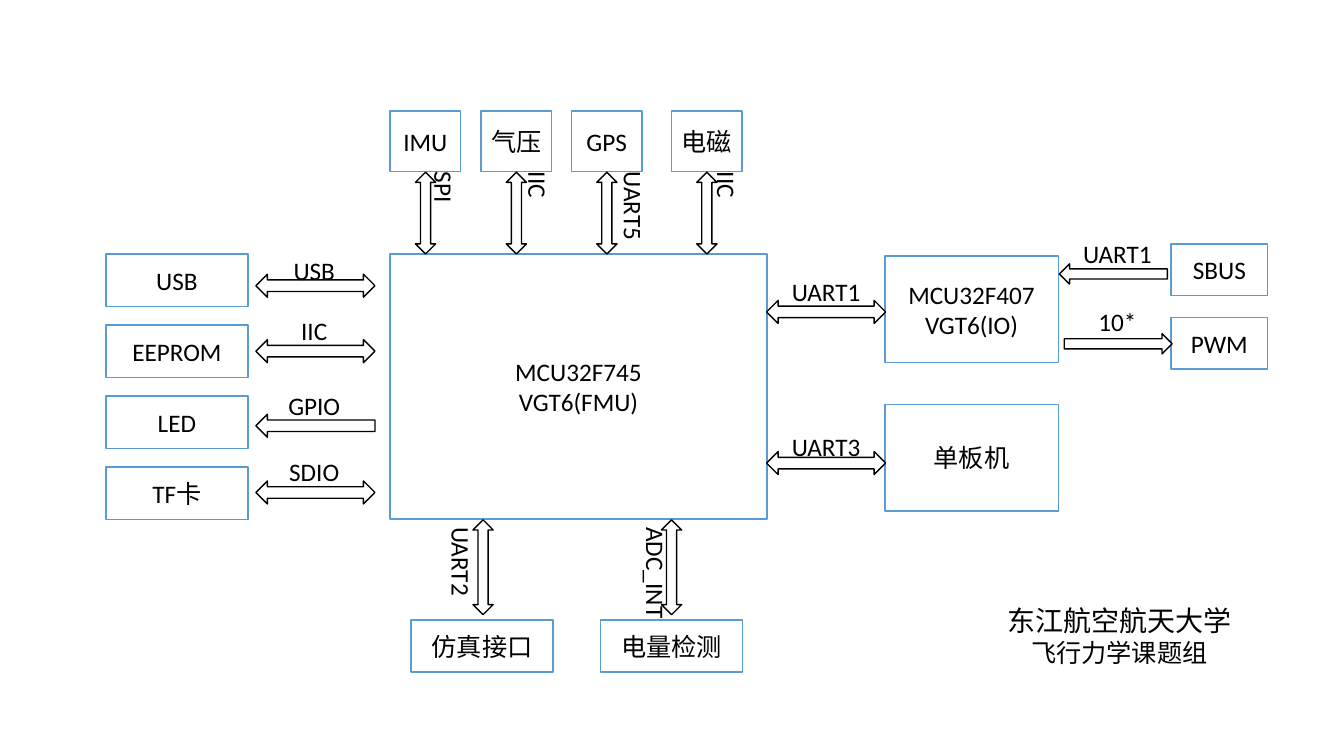
from pptx import Presentation
from pptx.dml.color import RGBColor
from pptx.enum import shapes, text
from pptx.util import Cm, Pt

KIND = shapes.MSO_SHAPE
BLACK, WHITE, BLUE = "000000", "FFFFFF", "5B9BD5"

deck = Presentation()
deck.slide_width, deck.slide_height = Cm(33.87), Cm(19.05)
slide = deck.slides.add_slide(deck.slide_layouts[6])


def draw(kind, x, y, w, h, edge=BLACK):
    item = slide.shapes.add_shape(kind, Cm(x), Cm(y), Cm(w), Cm(h))
    item.shadow.inherit = False
    item.fill.solid()
    item.fill.fore_color.rgb = RGBColor.from_string(WHITE)
    item.line.color.rgb = RGBColor.from_string(edge)
    item.line.width = Pt(1)
    return item


def write(item, words):
    frame = item.text_frame
    frame.text = words
    frame.word_wrap = False
    for para in frame.paragraphs:
        para.alignment = text.PP_ALIGN.CENTER
        para.font.name = "Calibri"
        para.font.size = Pt(18)
        para.font.color.rgb = RGBColor.from_string(BLACK)
    return frame


# Controllers, companion board and radio boxes
blocks = [
    ("MCU32F745\nVGT6(FMU)", 9.83, 6.4, 9.5, 6.68),
    ("MCU32F407\nVGT6(IO)", 22.3, 6.45, 4.37, 2.69),
    ("单板机", 22.3, 10.19, 4.37, 2.69),
    ("SBUS", 29.51, 6.15, 2.44, 1.3),
    ("PWM", 29.51, 8.0, 2.44, 1.3),
]
for words, *area in blocks:
    write(draw(KIND.FLOWCHART_PROCESS, *area, BLUE), words)

# Labels are gathered here and written last, above the arrows
across = [("UART1", 20.82, 7.34), ("UART3", 20.82, 11.25),
          ("UART1", 28.16, 6.38), ("10*", 28.16, 8.1)]
down = []

# Peripherals on the left
left = [
    ("USB", "USB", KIND.LEFT_RIGHT_ARROW, 6.91, 6.81),
    ("EEPROM", "IIC", KIND.LEFT_RIGHT_ARROW, 8.56, 8.33),
    ("LED", "GPIO", KIND.LEFT_ARROW, 10.44, 10.21),
    ("TF卡", "SDIO", KIND.LEFT_RIGHT_ARROW, 12.12, 11.89),
]
for row, (words, bus, kind, top, mid) in enumerate(left):
    write(draw(KIND.RECTANGLE, 2.67, 6.4 + 1.79 * row, 3.58, 1.32, BLUE), words)
    draw(kind, 6.45, top, 3, 0.58)
    across.append((bus, 7.92, mid))

# Sensors along the top: box left edge, label offset from the arrow
sensors = [
    ("IMU", "SPI", 9.83, 0.35),
    ("气压", "IIC", 12.12, 0.43),
    ("GPS", "UART5", 14.4, 0.56),
    ("电磁", "IIC", 16.92, 0.39),
]
for words, bus, x, shift in sensors:
    write(draw(KIND.FLOWCHART_PROCESS, x, 2.8, 1.78, 1.52, BLUE), words)
    draw(KIND.UP_DOWN_ARROW, x + 0.64, 4.34, 0.51, 2.06)
    down.append((bus, x + 0.89 + shift, 5.38))

# Ports along the bottom: box left edge, arrow centre, label centre
ports = [
    ("仿真接口", "UART2", 10.36, 12.17, 11.51),
    ("电量检测", "ADC_INT", 15.14, 16.92, 16.41),
]
for words, bus, x, axis, mid in ports:
    write(draw(KIND.RECTANGLE, x, 15.62, 3.58, 1.32, BLUE), words)
    draw(KIND.UP_DOWN_ARROW, axis - 0.25, 13.1, 0.51, 2.39)
    down.append((bus, mid, 14.34))

# Arrows on the right
for top in (7.57, 11.38):
    draw(KIND.LEFT_RIGHT_ARROW, 19.32, top, 3, 0.58)
draw(KIND.LEFT_ARROW, 26.7, 6.65, 2.72, 0.51)
draw(KIND.RIGHT_ARROW, 26.82, 8.41, 2.72, 0.51)

# Bus labels, placed by their centres
for labels, w, h in ((across, 2.4, 1.02), (down, 1.27, 2.6)):
    for bus, x, y in labels:
        box = slide.shapes.add_textbox(Cm(x - w / 2), Cm(y - h / 2), Cm(w), Cm(h))
        frame = write(box, bus)
        if labels is down:
            frame._txBody.bodyPr.set("vert", "eaVert")

# Signature
box = slide.shapes.add_textbox(Cm(25.1), Cm(15.09), Cm(6.22), Cm(1.88))
frame = write(box, "东江航空航天大学\n飞行力学课题组")
frame.paragraphs[0].font.size = Pt(20)

deck.save("out.pptx")
